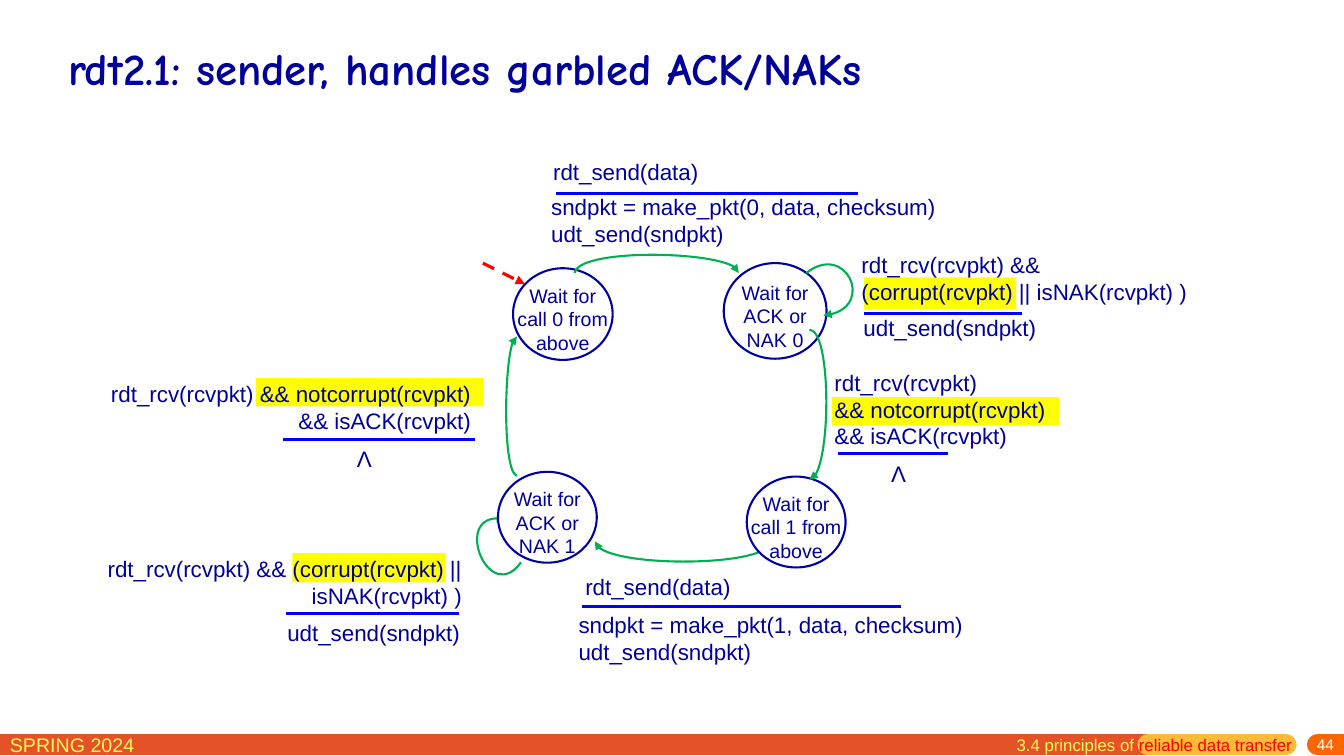
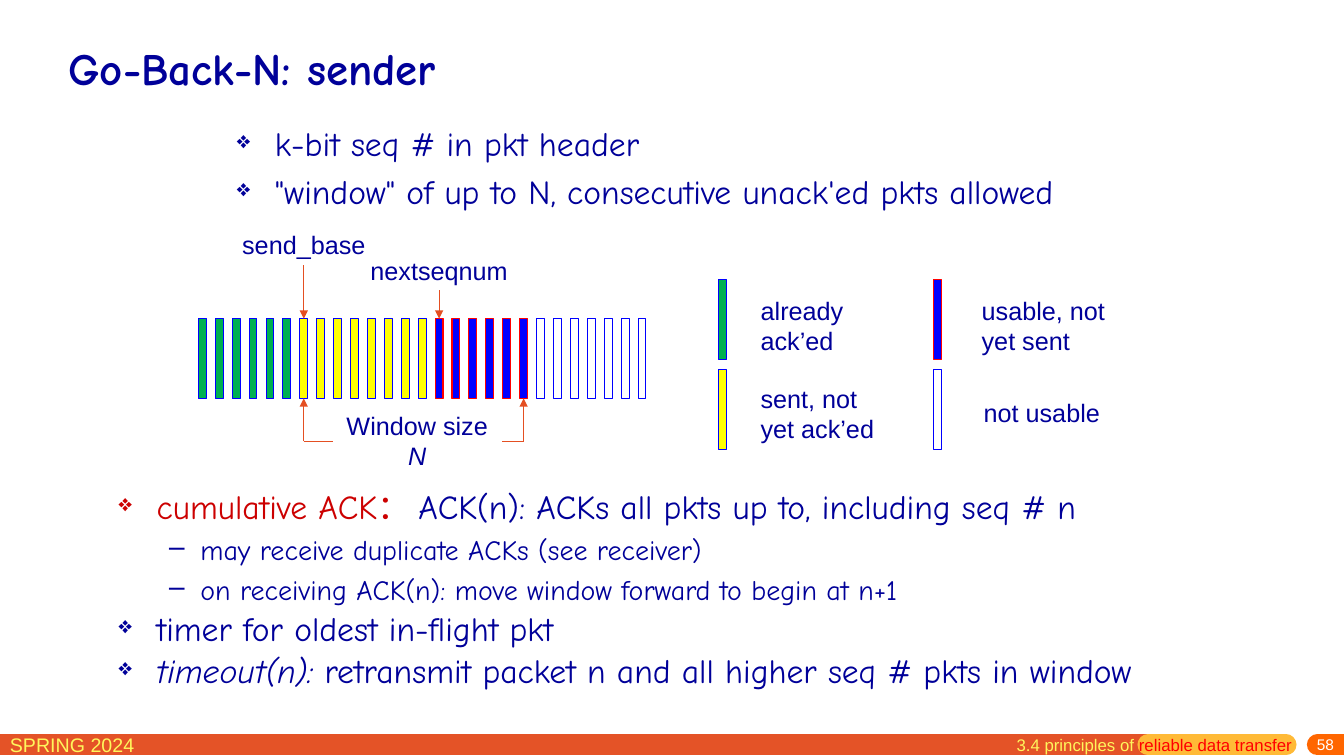
from lxml import etree
from pptx import Presentation
from pptx.dml.color import RGBColor
from pptx.enum.dml import MSO_LINE
from pptx.enum.shapes import MSO_CONNECTOR, MSO_SHAPE
from pptx.enum.text import MSO_ANCHOR, PP_ALIGN
from pptx.oxml.ns import qn
from pptx.util import Cm, Pt

STRAIGHT = MSO_CONNECTOR.STRAIGHT
RECTANGLE, OVAL = MSO_SHAPE.RECTANGLE, MSO_SHAPE.OVAL
LEFT, CENTER, RIGHT = PP_ALIGN.LEFT, PP_ALIGN.CENTER, PP_ALIGN.RIGHT
TOP, MIDDLE = MSO_ANCHOR.TOP, MSO_ANCHOR.MIDDLE
DASH = MSO_LINE.DASH

NAVY, OUTLINE, BLUE, RED = "000099", "0000A3", "0000FF", "FF0000"
GREEN, YELLOW, WHITE, CRIMSON = "00B050", "FFFF00", "FFFFFF", "CC0000"
BAND, AMBER, ORANGE, LEMON = "E45327", "FFBA37", "FF6600", "FFF65C"
POINTER = "E44F22"
BODY_FONT, TITLE_FONT = "Arial", "Comic Neue"
SIDE_TOP, SIDE_LEFT, SIDE_BOTTOM, SIDE_RIGHT = range(4)


def color(value):
    return RGBColor.from_string(value)


def style_font(font, size, ink=NAVY, name=BODY_FONT, bold=False, italic=False):
    font.size, font.name = Pt(size), name
    font.bold, font.italic = bold, italic
    font.color.rgb = color(ink)


def fill_text(frame, text, size, ink=NAVY, align=LEFT, name=BODY_FONT, bold=False):
    """Write text, one paragraph for each line."""
    frame.text = text
    for para in frame.paragraphs:
        para.alignment = align
        for span in para.runs:
            style_font(span.font, size, ink, name, bold)


def add_box(page, left, top, width, height, anchor=TOP):
    box = page.shapes.add_textbox(Cm(left), Cm(top), Cm(width), Cm(height))
    box.text_frame.word_wrap = True
    box.text_frame.vertical_anchor = anchor
    return box


def add_text(page, text, left, top, width, height, size=16, align=LEFT, **style):
    box = add_box(page, left, top, width, height)
    fill_text(box.text_frame, text, size, align=align, **style)
    return box


def add_spans(para, spans, size, name=BODY_FONT):
    """Write spans given as (text, colour, italic)."""
    para.text = ""
    for text, ink, italic in spans:
        span = para.add_run()
        span.text = text
        style_font(span.font, size, ink, name, italic=italic)


def add_shape(page, kind, left, top, width, height, fill, line=None, weight=0.75):
    shape = page.shapes.add_shape(kind, Cm(left), Cm(top), Cm(width), Cm(height))
    shape.shadow.inherit = False
    shape.fill.solid()
    shape.fill.fore_color.rgb = color(fill)
    if line:
        shape.line.color.rgb = color(line)
        shape.line.width = Pt(weight)
    else:
        shape.line.fill.background()
    return shape


def add_arrowhead(line):
    etree.SubElement(line._get_or_add_ln(), qn("a:tailEnd"), type="triangle")


def add_line(page, start, end, ink, weight, arrow=False, dash=None, cap=None):
    line = page.shapes.add_connector(
        STRAIGHT, Cm(start[0]), Cm(start[1]), Cm(end[0]), Cm(end[1]))
    line.line.color.rgb = color(ink)
    line.line.width = Pt(weight)
    if dash:
        line.line.dash_style = dash
    if cap:
        line.line._get_or_add_ln().set("cap", cap)
    if arrow:
        add_arrowhead(line.line)
    etree.SubElement(line._element.spPr, qn("a:effectLst"))
    return line


def add_curve(page, *points):
    """Draw a cubic curve with an arrowhead at its last point."""
    start, *rest = [(Cm(x), Cm(y)) for x, y in points]
    builder = page.shapes.build_freeform(*start)
    builder.add_line_segments(rest, close=False)
    curve = builder.convert_to_shape()
    curve.shadow.inherit = False
    curve.fill.background()
    curve.line.color.rgb = color(GREEN)
    curve.line.width = Pt(1.5)
    add_arrowhead(curve.line)
    # Turn the three straight segments into one Bezier segment
    outline = curve._element.spPr.find(".//" + qn("a:path"))
    bezier = etree.SubElement(outline, qn("a:cubicBezTo"))
    for segment in outline.findall(qn("a:lnTo")):
        bezier.append(segment[0])
        outline.remove(segment)


def add_bullet(para, mark, margin, indent, percent):
    properties = para._p.get_or_add_pPr()
    properties.set("marL", str(Cm(margin)))
    properties.set("indent", str(-Cm(indent)))
    etree.SubElement(properties, qn("a:buSzPct"), val=str(percent * 1000))
    etree.SubElement(properties, qn("a:buChar"), char=mark)


def add_bullets(page, left, top, width, height, items):
    """Items are (level, line spacing, spans)."""
    frame = add_box(page, left, top, width, height).text_frame
    for index, (level, spacing, spans) in enumerate(items):
        para = frame.paragraphs[0] if index == 0 else frame.add_paragraph()
        size = 20 if level else 24
        add_spans(para, spans, size, TITLE_FONT)
        para.level = level
        para.line_spacing = spacing
        if index:
            para.space_before = Pt(size * 0.23)
        if level:
            add_bullet(para, "–", 2.06, 0.79, 100)
        else:
            add_bullet(para, "❖", 0.96, 0.96, 70)


def add_page(deck, title, number):
    """Add a page with the shared title, band and footer."""
    page = deck.slides.add_slide(deck.slide_layouts[6])
    for start, end, ink, cap in [(0, 28.93, BAND, "flat"),
                                 (28.93, 32.41, AMBER, "rnd"),
                                 (33.2, 33.87, ORANGE, "rnd")]:
        add_line(page, (start, 18.77), (end, 18.77), ink, 15, cap=cap)
    add_text(page, "SPRING 2024", 0, 18.34, 5.82, 0.79, size=14, ink=LEMON)
    chapter = add_box(page, 25.37, 18.39, 7.65, 0.79)
    add_spans(chapter.text_frame.paragraphs[0],
              [("3.4 principles of ", LEMON, False),
               ("reliable data transfer", RED, False)], 12)
    counter = add_box(page, 27.3, 18.59, 6.57, 0.46, MIDDLE).text_frame
    counter.margin_top, counter.margin_bottom = 0, Cm(0.13)
    fill_text(counter, str(number), 11, WHITE, RIGHT)
    heading = add_box(page, 1.47, 0.71, 30.94, 2.01, MIDDLE)
    fill_text(heading.text_frame, title, 32, name=TITLE_FONT, bold=True)
    return page


def add_state(page, text, left, top, width, height):
    state = add_shape(page, OVAL, left, top, width, height, WHITE, OUTLINE, 1.5)
    frame = state.text_frame
    frame.word_wrap = False
    frame.vertical_anchor = MIDDLE
    frame.margin_left = frame.margin_right = frame.margin_bottom = 0
    frame.margin_top = Cm(0.25)
    fill_text(frame, text, 14, align=CENTER)


def build_state_machine(deck):
    page = add_page(deck, "rdt2.1: sender, handles garbled ACK/NAKs", 44)

    # Highlights behind the conditions
    for area in [(7.37, 13.94, 3.86, 0.74), (6.45, 9.53, 5.74, 0.71),
                 (20.96, 10.01, 5.74, 0.71), (21.77, 6.99, 3.84, 0.81)]:
        add_shape(page, RECTANGLE, *area, YELLOW)

    # Transitions that run under the states
    add_curve(page, (19.43, 13.64), (19.43, 14.27), (15.06, 14.33), (14.99, 13.64))
    add_curve(page, (13.13, 14.17), (12.34, 15.27), (11.33, 12.83), (12.73, 13.08))

    # States
    add_state(page, "Wait for\ncall 0 from\nabove", 12.93, 6.76, 2.51, 2.31)
    add_state(page, "Wait for\nACK or\nNAK 0", 18.24, 6.63, 2.59, 2.41)
    add_state(page, "Wait for\ncall 1 from\nabove", 18.82, 12.01, 2.49, 2.29)
    add_state(page, "Wait for\nACK or\nNAK 1", 12.55, 11.89, 2.49, 2.29)

    # Transitions that run over the states
    add_line(page, (12.17, 6.63), (13.23, 7.16), RED, 2.25, arrow=True, dash=DASH)
    add_curve(page, (14.48, 6.88), (14.58, 6.27), (18.62, 6.32), (18.62, 6.88))
    add_curve(page, (20.32, 6.88), (21.31, 6.1), (22.12, 7.82), (20.75, 7.95))
    add_curve(page, (20.4, 8.31), (20.93, 8.31), (20.96, 12.01), (20.4, 12.09))
    add_curve(page, (13.03, 11.99), (12.67, 11.91), (12.7, 8.48), (13.03, 8.48))

    # Events and actions
    for text, left, top, width, height, align in [
        ("rdt_send(data)", 13.69, 3.86, 5.87, 0.84, LEFT),
        ("sndpkt = make_pkt(0, data, checksum)\nudt_send(sndpkt)",
         13.64, 4.75, 10.26, 1.6, LEFT),
        ("rdt_rcv(rcvpkt) &&\n(corrupt(rcvpkt) || isNAK(rcvpkt) )",
         21.46, 6.2, 8.84, 1.57, LEFT),
        ("udt_send(sndpkt)", 21.51, 7.8, 6.27, 1.12, LEFT),
        ("rdt_rcv(rcvpkt)\n&& notcorrupt(rcvpkt)\n&& isACK(rcvpkt)",
         20.78, 9.17, 8.33, 2.3, LEFT),
        ("Λ", 22.2, 11.46, 0.89, 0.94, CENTER),
        ("rdt_send(data)", 14.5, 14.33, 6.63, 0.79, LEFT),
        ("sndpkt = make_pkt(1, data, checksum)\nudt_send(sndpkt)",
         14.33, 15.27, 10.46, 1.6, LEFT),
        ("rdt_rcv(rcvpkt) && (corrupt(rcvpkt) ||\nisNAK(rcvpkt) )",
         1.12, 13.87, 10.77, 1.57, RIGHT),
        ("udt_send(sndpkt)", 6.99, 15.47, 5.05, 0.76, LEFT),
        ("rdt_rcv(rcvpkt) && notcorrupt(rcvpkt)\n&& isACK(rcvpkt)",
         2.06, 9.45, 10.06, 1.57, RIGHT),
        ("Λ", 8.74, 11.1, 0.89, 0.94, CENTER),
    ]:
        add_text(page, text, left, top, width, height, align=align)

    # Rules between event and action
    for start, end, height in [(14.02, 21.62, 4.88), (21.77, 25.76, 7.9),
                               (14.66, 22.71, 15.29), (7.21, 11.56, 15.47),
                               (21.13, 23.9, 11.43), (7.14, 11.96, 11.07)]:
        add_line(page, (start, height), (end, height), BLUE, 2.25)


def build_go_back_n(deck):
    page = add_page(deck, "Go-Back-N: sender", 58)
    add_bullets(page, 5.72, 2.97, 26.21, 3.56, [
        (0, 1.0, [("k-bit seq # in pkt header", NAVY, False)]),
        (0, 1.0, [("\"window\" of up to N, consecutive unack'ed pkts allowed",
                   NAVY, False)]),
    ])

    # Sequence number bars
    bar_width, bar_height, bar_top = 0.2, 2.01, 8.03
    first, last = 5.0, 16.08
    kinds = ([(GREEN, BLUE)] * 6 + [(YELLOW, BLUE)] * 8
             + [(BLUE, RED)] * 6 + [(WHITE, BLUE)] * 7)
    pitch = (last - first) / (len(kinds) - 1)
    bars = [add_shape(page, RECTANGLE, first + index * pitch, bar_top,
                      bar_width, bar_height, fill, line)
            for index, (fill, line) in enumerate(kinds)]

    def bar_center(index):
        return first + index * pitch + bar_width / 2

    # Pointers to the window base and the next number
    for text, index, top, width in [("send_base", 6, 5.66, 3.84),
                                    ("nextseqnum", 14, 6.3, 4.14)]:
        center = bar_center(index)
        label = add_text(page, text, center - width / 2, top, width, 1.02,
                         size=18, align=CENTER)
        arrow = add_line(page, (center, top + 1.02), (center, bar_top),
                         POINTER, 0.75, arrow=True)
        arrow.begin_connect(label, SIDE_BOTTOM)
        arrow.end_connect(bars[index], SIDE_TOP)

    # Window bracket
    label_left, label_width, bracket = 8.38, 4.27, 11.12
    label = add_text(page, "Window size\nN", label_left, bracket - 0.9,
                     label_width, 1.8, size=18, align=CENTER)
    label.text_frame.paragraphs[1].runs[0].font.italic = True
    for index, edge, side in [(6, label_left, SIDE_LEFT),
                              (19, label_left + label_width, SIDE_RIGHT)]:
        corner = (bar_center(index), bracket)
        base = add_line(page, corner, (edge, bracket), POINTER, 0.75)
        base.end_connect(label, side)
        arrow = add_line(page, corner, (corner[0], bar_top + bar_height),
                         POINTER, 0.75, arrow=True)
        arrow.end_connect(bars[index], SIDE_BOTTOM)

    # Legend
    for text, fill, line, left, top, text_left, text_top in [
        ("already\nack’ed", GREEN, BLUE, 18.11, 7.04, 18.92, 7.32),
        ("sent, not\nyet ack’ed", YELLOW, BLUE, 18.11, 9.32, 18.92, 9.53),
        ("usable, not\nyet sent", BLUE, RED, 23.52, 7.04, 24.49, 7.32),
        ("not usable", WHITE, BLUE, 23.52, 9.32, 24.54, 9.88),
    ]:
        add_shape(page, RECTANGLE, left, top, bar_width, bar_height, fill, line)
        add_text(page, text, text_left, text_top, 3.84, 1.8, size=18)

    # Sender rules
    add_bullets(page, 2.74, 12.12, 28.19, 6.2, [
        (0, 1.0, [("cumulative ACK： ", CRIMSON, False),
                  ("ACK(n): ACKs all pkts up to, including seq # n", NAVY, False)]),
        (1, 1.0, [("may receive duplicate ACKs (see receiver)", NAVY, False)]),
        (1, 1.0, [("on receiving ACK(n): move window forward to begin at n+1",
                   NAVY, False)]),
        (0, 0.85, [("timer for oldest in-flight pkt", NAVY, False)]),
        (0, 0.85, [("timeout(n):", NAVY, True),
                   (" retransmit packet n and all higher seq # pkts in window",
                    NAVY, False)]),
    ])


def main():
    deck = Presentation()
    deck.slide_width, deck.slide_height = Cm(33.87), Cm(19.05)
    build_state_machine(deck)
    build_go_back_n(deck)
    deck.save("out.pptx")


if __name__ == "__main__":
    main()
